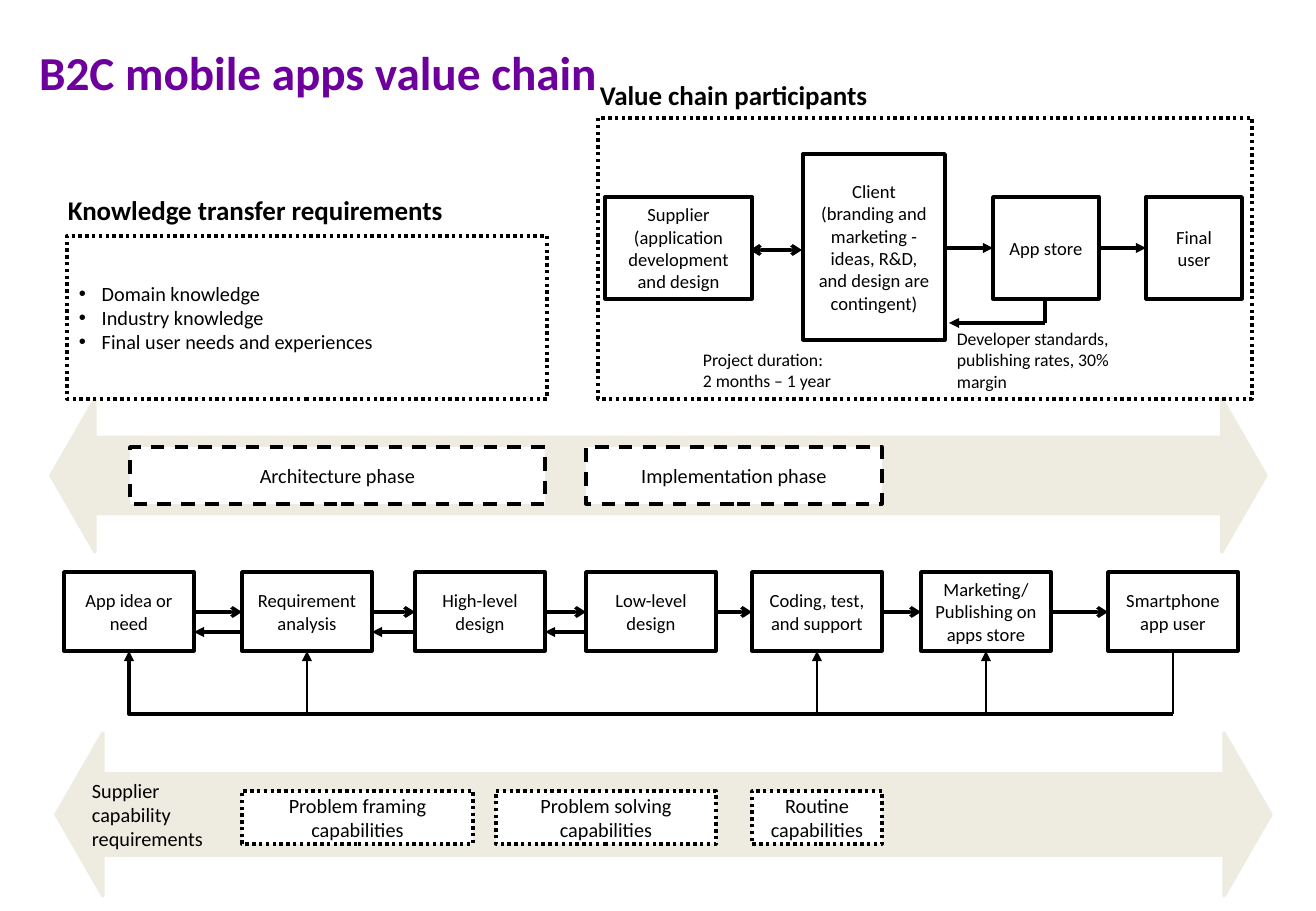
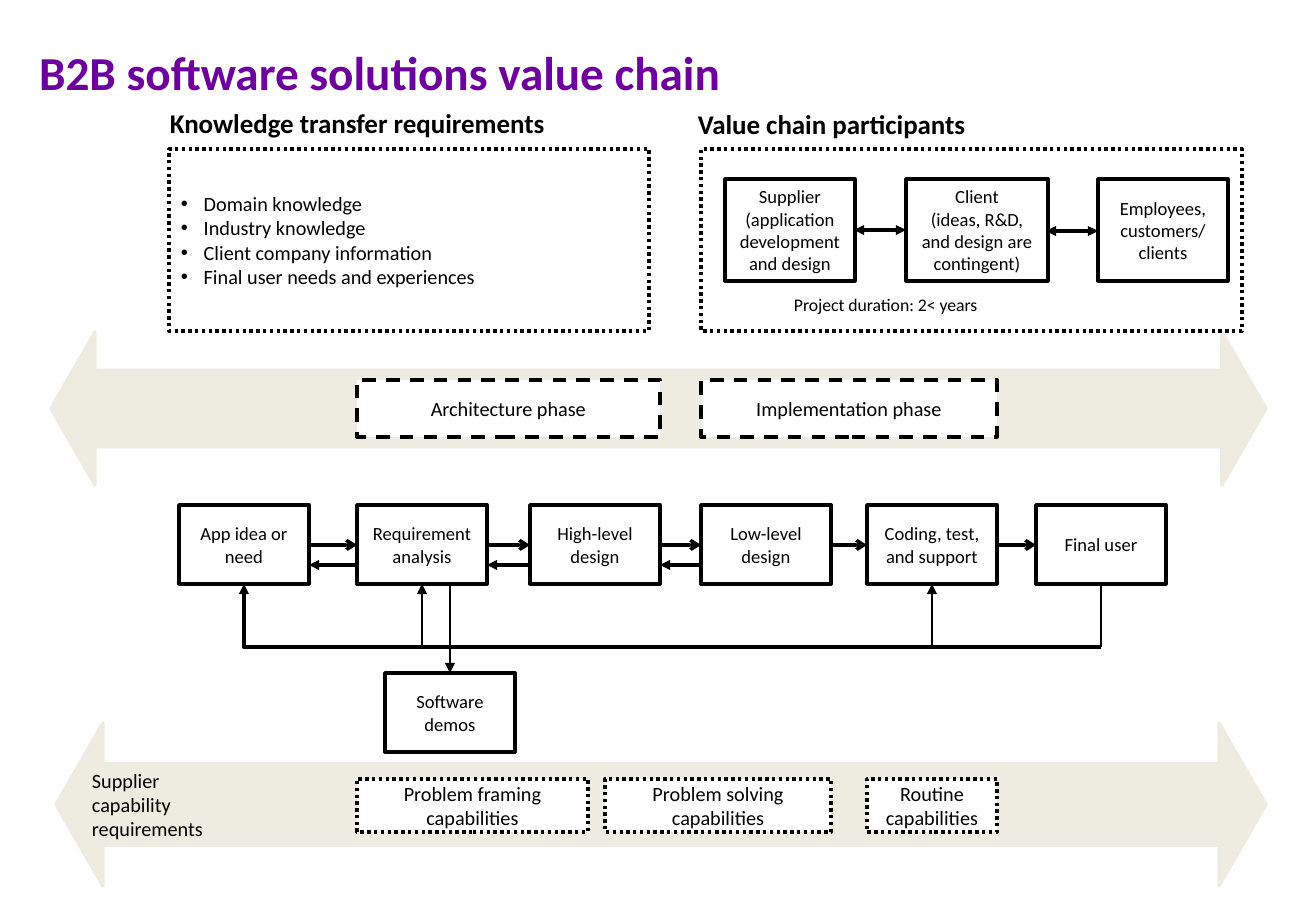
import dataclasses
import itertools

import lxml.etree
import pptx
import pptx.dml.color
import pptx.enum.dml
import pptx.enum.shapes
import pptx.enum.text
import pptx.oxml.ns
import pptx.util

SCALE = 914400 / 121.5
RGB = pptx.dml.color.RGBColor.from_string
DASH = pptx.enum.dml.MSO_LINE.DASH
DOT = pptx.enum.dml.MSO_LINE.ROUND_DOT
RECT = pptx.enum.shapes.MSO_SHAPE.RECTANGLE
BAND = pptx.enum.shapes.MSO_SHAPE.LEFT_RIGHT_ARROW
LINK = pptx.enum.shapes.MSO_CONNECTOR
MIDDLE = pptx.enum.text.MSO_ANCHOR.MIDDLE
TOP = pptx.enum.text.MSO_ANCHOR.TOP
LEFT = pptx.enum.text.PP_ALIGN.LEFT
CENTER = pptx.enum.text.PP_ALIGN.CENTER
QN = pptx.oxml.ns.qn


@dataclasses.dataclass
class Theme:
    """Colours, font, type sizes and line widths of both slides."""
    font: str = "Calibri"
    ink: str = "000000"
    paper: str = "FFFFFF"
    sand: str = "EEECE1"
    violet: str = "6D009D"
    title: float = 28
    head: float = 16
    body: float = 12
    step: float = 11
    note: float = 10.5
    thick: float = 2
    thin: float = 1.5


theme = Theme()


def add_box(slide, rect, text="", size=theme.step, fill=theme.paper, line=theme.ink,
            dash=None, kind=RECT, align=CENTER, bold=False, bullet=False):
    """Add a shape, or a plain text box when line is None."""
    place = [round(v * SCALE) for v in rect]
    if line is None:
        shape = slide.shapes.add_textbox(*place)
    else:
        shape = slide.shapes.add_shape(kind, *place)
        shape.shadow.inherit = False
        shape.line.color.rgb = RGB(line)
        shape.line.width = pptx.util.Pt(theme.thick)
        if dash:
            shape.line.dash_style = dash
        if fill:
            shape.fill.solid()
            shape.fill.fore_color.rgb = RGB(fill)
        else:
            shape.fill.background()
    if not text:
        return shape
    frame = shape.text_frame
    frame.word_wrap = True
    frame.vertical_anchor = MIDDLE if line else TOP
    frame.text = text
    for para in frame.paragraphs:
        para.alignment = align
        para.font.name = theme.font
        para.font.size = pptx.util.Pt(size)
        para.font.bold = bold
        para.font.color.rgb = RGB(theme.ink)
        if bullet:
            props = para._p.get_or_add_pPr()
            props.set("marL", "171450")
            props.set("indent", "-171450")
            font = lxml.etree.Element(QN("a:buFont"), typeface="Arial")
            mark = lxml.etree.Element(QN("a:buChar"), char="\u2022")
            props.insert(0, font)
            props.insert(1, mark)
    return shape


def add_line(slide, ends, tail=None, head=None, width=theme.thick, bent=False):
    """Add a straight or one-bend connector with optional arrowheads."""
    kind = LINK.ELBOW if bent else LINK.STRAIGHT
    link = slide.shapes.add_connector(kind, *[round(v * SCALE) for v in ends])
    link.line.color.rgb = RGB(theme.ink)
    link.line.width = pptx.util.Pt(width)
    props = link._element.spPr
    if bent:
        props.find(QN("a:prstGeom")).set("prst", "bentConnector2")
    stroke = props.find(QN("a:ln"))
    for tag, tip in (("a:headEnd", head), ("a:tailEnd", tail)):
        if tip:
            lxml.etree.SubElement(stroke, QN(tag), type=tip)
    lxml.etree.SubElement(props, QN("a:effectLst"))


STEP_W, STEP_H = 130, 79
STEPS = ["App idea or need", "Requirement analysis", "High-level design",
         "Low-level design", "Coding, test, and support"]
STEP_X = [64, 242, 415, 586, 752, 921, 1108]
SUPPLIER = "Supplier\n(application development and design"

pages = [
    dict(
        title="B2C mobile apps value chain",
        shift=0, top=399, low=(56, 733, 1215, 163), caps=791, solve=496,
        steps=STEPS + ["Marketing/\nPublishing on apps store", "Smartphone app user"],
        rise=[1, 4, 5], phase=130,
        know=(67, 236, 480, 163), know_head=(56, 188),
        facts=["Domain knowledge", "Industry knowledge",
               "Final user needs and experiences"],
        frame=(598, 118, 654, 281), frame_head=(588, 73),
        parts=[((605, 197, 147, 102), SUPPLIER),
               ((803, 154, 142, 186), "Client\n(branding and marketing - ideas, R&D, "
                                      "and design are contingent)"),
               ((993, 197, 106, 102), "App store"),
               ((1146, 197, 96, 102), "Final user")],
        links=[((750, 250, 802, 250), "arrow", "arrow"),
               ((945, 248, 993, 248), "triangle", None),
               ((1098, 248, 1146, 248), "triangle", None),
               ((1045, 323, 949, 323), "triangle", None),
               ((1045, 323, 1045, 299), None, None)],
        notes=[((945, 322, 177, 77), "Developer standards, publishing rates, 30% margin"),
               ((691, 343, 177, 55), "Project duration:\n2 months – 1 year")],
        demo=None,
    ),
    dict(
        title="B2B software solutions value chain",
        shift=115, top=332, low=(56, 723, 1210, 163), caps=779, solve=605,
        steps=STEPS + ["Final user"],
        rise=[1, 4], phase=357,
        know=(169, 149, 480, 182), know_head=(158, 101),
        facts=["Domain knowledge", "Industry knowledge", "Client company information",
               "Final user needs and experiences"],
        frame=(701, 149, 541, 182), frame_head=(686, 102),
        parts=[((725, 179, 130, 102), SUPPLIER),
               ((906, 179, 142, 102), "Client\n(ideas, R&D, and design are contingent)"),
               ((1098, 179, 130, 102), "Employees, customers/\nclients")],
        links=[((854, 230, 906, 230), "triangle", "triangle"),
               ((1046, 231, 1098, 231), "triangle", "triangle")],
        notes=[((782, 288, 350, 34), "Project duration: 2< years")],
        demo=(385, 673),
    ),
]

deck = pptx.Presentation()
deck.slide_width = round(1316 * SCALE)
deck.slide_height = round(911 * SCALE)

for page in pages:
    slide = deck.slides.add_slide(deck.slide_layouts[5])
    title = slide.shapes.title
    title.left, title.top, title.width, title.height = [
        round(v * SCALE) for v in (27, 16, 1254, 111)]
    title.text_frame.text = page["title"]
    title.text_frame.vertical_anchor = MIDDLE
    para = title.text_frame.paragraphs[0]
    para.alignment = LEFT
    para.font.name = theme.font
    para.font.size = pptx.util.Pt(theme.title)
    para.font.bold = True
    para.font.color.rgb = RGB(theme.violet)

    # Wide bands
    top, low = page["top"], page["low"]
    for rect in (low, (51, top, 1215, 153)):
        band = add_box(slide, rect, fill=theme.sand, line=theme.sand, kind=BAND)
        band.adjustments[0] = 0.5
        band.adjustments[1] = 0.288

    # Process steps, with arrows in each gap
    xs = [x + page["shift"] for x in STEP_X[:len(page["steps"])]]
    y = top + 173
    for x, text in zip(xs, page["steps"]):
        add_box(slide, (x, y, STEP_W, STEP_H), text)
    for i, (x, after) in enumerate(itertools.pairwise(xs)):
        add_line(slide, (x + STEP_W, y + 40, after, y + 40), "arrow")
        if i < 3:
            add_line(slide, (after, y + 60, x + STEP_W, y + 60), "triangle")

    # Feedback rail below the steps
    mids = [x + STEP_W // 2 for x in xs]
    foot, rail = y + STEP_H, y + 142
    add_line(slide, (mids[-1], rail, mids[0], foot), "triangle", bent=True)
    for i in page["rise"]:
        add_line(slide, (mids[i], rail, mids[i], foot), "triangle", width=theme.thin)
    add_line(slide, (mids[-1], rail, mids[-1], foot), width=theme.thin)
    if page["demo"]:
        left, head = page["demo"]
        mid = left + STEP_W // 2
        add_box(slide, (left, head, STEP_W, STEP_H), "Software demos")
        add_line(slide, (mid, foot, mid, head), "triangle", width=theme.thin)

    # Phases and capabilities line up with the steps
    ends = [x + STEP_W for x in xs]
    for left, right, text in ((page["phase"], ends[2], "Architecture phase"),
                              (xs[3], ends[4], "Implementation phase")):
        add_box(slide, (left, top + 48, right - left, 57), text, theme.body, dash=DASH)
    for left, right, text in ((xs[1], xs[1] + 231, "Problem framing capabilities"),
                              (page["solve"], ends[3], "Problem solving capabilities"),
                              (xs[4], ends[4], "Routine capabilities")):
        add_box(slide, (left, page["caps"], right - left, 53), text, theme.body, dash=DOT)
    add_box(slide, (80, low[1] + 39, 253, 86), "Supplier\ncapability\nrequirements",
            theme.body, line=None, align=LEFT)

    # Knowledge and participants
    add_box(slide, page["know"], "\n".join(page["facts"]), theme.body, dash=DOT,
            align=LEFT, bullet=True)
    add_box(slide, page["frame"], fill=None, dash=DOT)
    for spot, text in ((page["know_head"], "Knowledge transfer requirements"),
                       (page["frame_head"], "Value chain participants")):
        add_box(slide, (*spot, 501, 45), text, theme.head, line=None, align=LEFT, bold=True)
    for rect, text in page["parts"]:
        add_box(slide, rect, text)
    for ends, tail, head in page["links"]:
        add_line(slide, ends, tail, head)
    for rect, text in page["notes"]:
        add_box(slide, rect, text, theme.note, line=None, align=LEFT)

deck.save("out.pptx")
